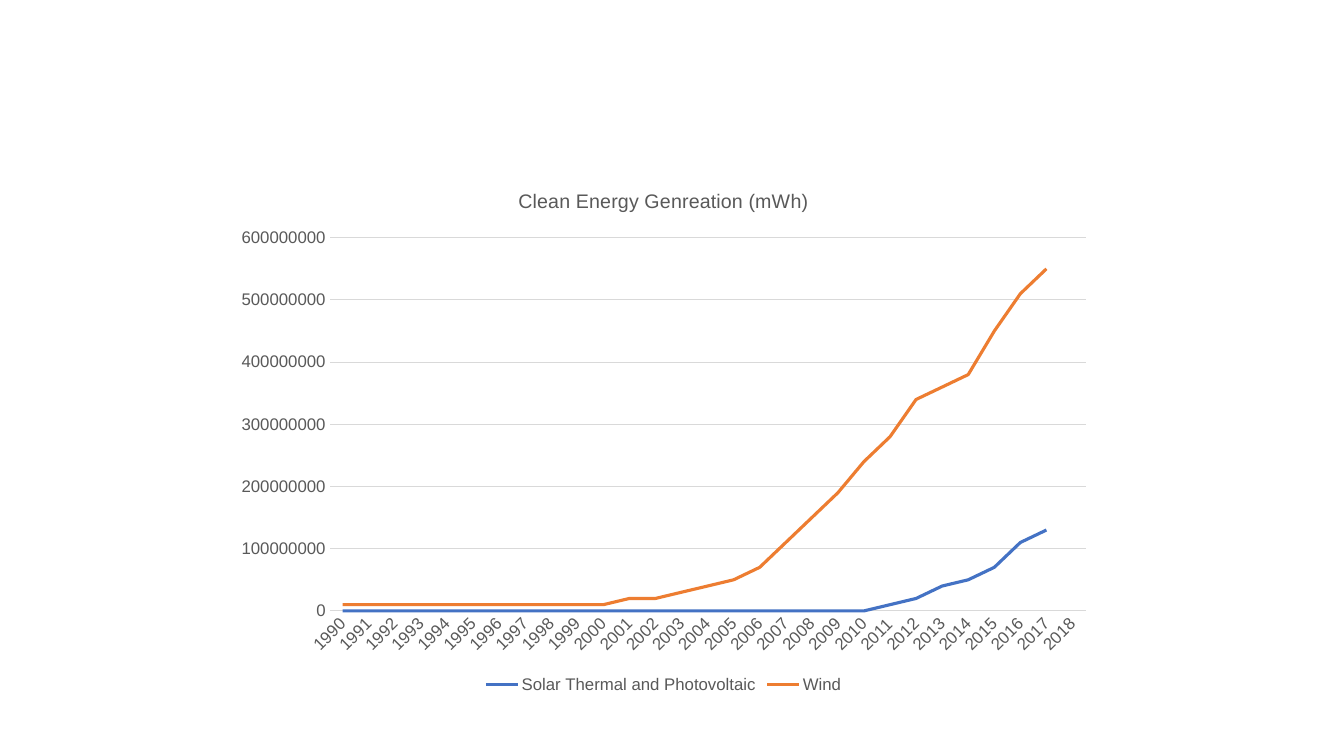
from pptx import Presentation
from pptx.chart.data import CategoryChartData
from pptx.dml.color import RGBColor
from pptx.enum.chart import XL_CHART_TYPE, XL_LEGEND_POSITION, XL_TICK_MARK
from pptx.oxml.ns import qn
from pptx.util import Pt

FONT = "Arial"
GRAY = RGBColor(0x59, 0x59, 0x59)
GRID = RGBColor(0xD9, 0xD9, 0xD9)
BLUE = RGBColor(0x44, 0x72, 0xC4)
ORANGE = RGBColor(0xED, 0x7D, 0x31)

AUTOMATIC_ROTATION = "-60000000"
YEARS = [str(year) for year in range(1990, 2019)]
UNIT = 10_000_000  # generation below is listed in tens of millions
SOLAR = [0] * 21 + [1, 2, 4, 5, 7, 11, 13, None]
WIND = [1] * 11 + [2, 2, 3, 4, 5, 7, 11, 15, 19, 24, 28, 34, 36, 38, 45, 51, 55, None]
GENERATION = [
    ("Solar Thermal and Photovoltaic", SOLAR, BLUE),
    ("Wind", WIND, ORANGE),
]


def style_font(font, size):
    font.name = FONT
    font.size = Pt(size)
    font.bold = False
    font.color.rgb = GRAY


def style_line(line, color, width):
    line.color.rgb = color
    line.width = Pt(width)


def style_axes(chart):
    years, generation = chart.category_axis, chart.value_axis
    for axis in (years, generation):
        axis.major_tick_mark = XL_TICK_MARK.NONE
        axis.minor_tick_mark = XL_TICK_MARK.NONE
        style_font(axis.tick_labels.font, 12)
        body = axis._element.find(qn("c:txPr")).find(qn("a:bodyPr"))
        body.set("rot", AUTOMATIC_ROTATION)
        body.set("vert", "horz")
    style_line(years.format.line, GRID, 0.75)

    generation.tick_labels.number_format = "General"
    generation.tick_labels.number_format_is_linked = False
    generation.format.line.fill.background()
    style_line(generation.major_gridlines.format.line, GRID, 0.75)


def add_title(chart, text):
    title = chart.chart_title
    title.include_in_layout = False
    run = title.text_frame.paragraphs[0].add_run()
    run.text = text
    style_font(run.font, 14)


def add_legend(chart):
    chart.has_legend = True
    chart.legend.position = XL_LEGEND_POSITION.BOTTOM
    chart.legend.include_in_layout = False
    style_font(chart.legend.font, 12)


def add_generation_chart(slide):
    data = CategoryChartData(number_format="General")
    data.categories = YEARS
    for name, amounts, _ in GENERATION:
        data.add_series(name, [None if n is None else n * UNIT for n in amounts])
    chart = slide.shapes.add_chart(
        XL_CHART_TYPE.LINE, Pt(160), Pt(120.4), Pt(628), Pt(378), data
    ).chart
    style_font(chart.font, 12)
    chart.plots[0].vary_by_categories = False
    for series, (_, _, color) in zip(chart.plots[0].series, GENERATION):
        series.smooth = False
        style_line(series.format.line, color, 2.25)
    add_title(chart, "Clean Energy Genreation (mWh)")
    style_axes(chart)
    add_legend(chart)


def main():
    deck = Presentation()
    deck.slide_width, deck.slide_height = Pt(960), Pt(540)
    slide = deck.slides.add_slide(deck.slide_layouts[6])
    add_generation_chart(slide)
    deck.save("out.pptx")


if __name__ == "__main__":
    main()
